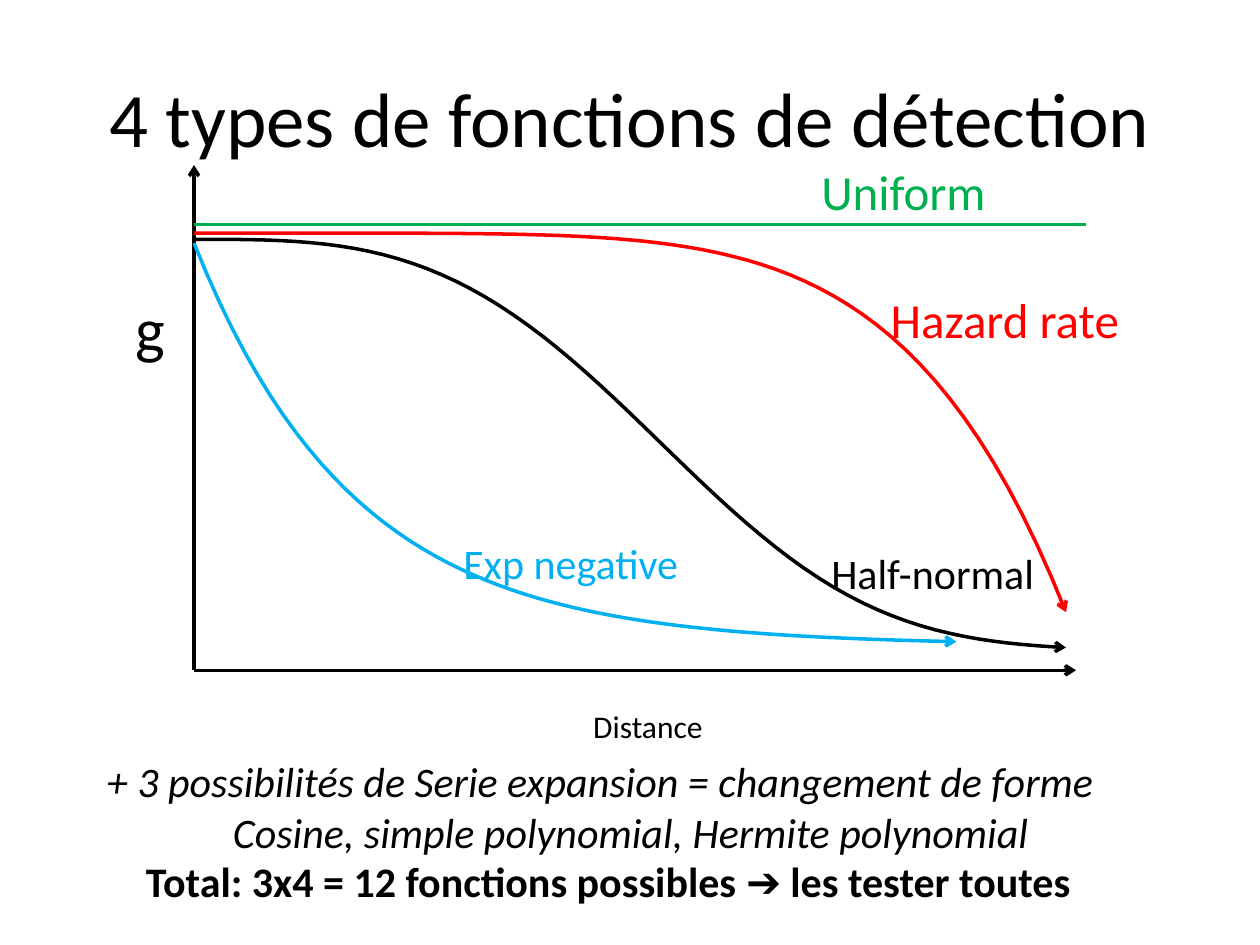
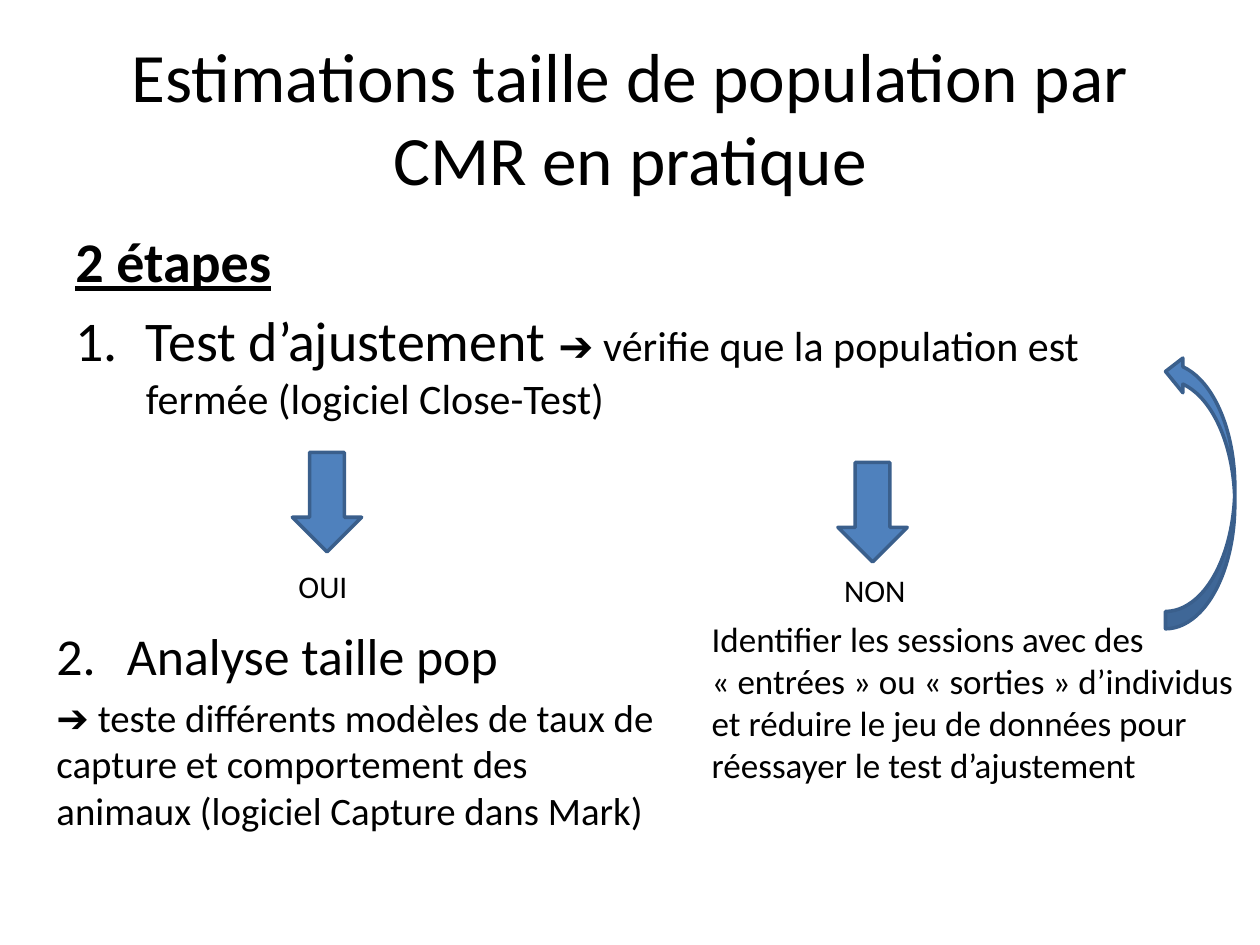
from math import exp

from lxml.etree import SubElement
from pptx import Presentation
from pptx.dml.color import RGBColor
from pptx.enum.shapes import MSO_CONNECTOR, MSO_SHAPE
from pptx.enum.text import MSO_ANCHOR, MSO_AUTO_SIZE, PP_ALIGN
from pptx.oxml.ns import qn
from pptx.util import Inches, Pt

FONT = "Calibri"
LINE_WIDTH = Pt(2)
NUMBER_INDENT = 0.56
NBSP = chr(160)
COLORS = {
    "text": "000000",
    "hazard": "FF0000",
    "exponential": "00B0F0",
    "uniform": "00B050",
    "arrow": "4F81BD",
    "arrow_edge": "3A5F8C",
}

# Detection graph, in inches on the slide
ORIGIN_X, ORIGIN_Y = 1.54, 5.32
AXIS_TOP, AXIS_RIGHT = 1.31, 8.54
UNIFORM_Y, UNIFORM_RIGHT = 1.78, 8.62
CURVE_RIGHT = 8.46
CURVE_STEPS = 60


def half_normal(distance):
    return decay(distance, top=1.9, floor=5.16, scale=4.17, power=3.2)


def exp_negative(distance):
    return decay(distance, top=1.93, floor=5.12, scale=1.27, power=1)


def decay(distance, top, floor, scale, power):
    """Height on the slide of a curve that sinks from top towards floor."""
    return floor - (floor - top) * exp(-((distance / scale) ** power))


def hazard_rate(distance):
    """Long shoulder, then a steep fall that ends at the curves' right edge."""
    top, drop = 1.85, 3.01
    return top + drop * (distance / (CURVE_RIGHT - ORIGIN_X)) ** 5.8


def rgb(name):
    return RGBColor.from_string(COLORS[name])


def format_font(font, size, color="text", **values):
    values.update(name=FONT, size=Pt(size))
    for key, value in values.items():
        setattr(font, key, value)
    font.color.rgb = rgb(color)


def add_title_slide(prs, text, size):
    s = prs.slides.add_slide(prs.slide_layouts[5])
    title = s.shapes.title
    title.left, title.top, title.width, title.height = map(
        Inches, (0.5, 0.3, 9, 1.25))
    tf = title.text_frame
    tf.text = text
    tf.auto_size = MSO_AUTO_SIZE.NONE
    tf.vertical_anchor = MSO_ANCHOR.MIDDLE
    p = tf.paragraphs[0]
    p.alignment = PP_ALIGN.CENTER
    format_font(p.runs[0].font, size)
    return s


def add_box(s, x, y, w, h, wrap=True):
    tf = s.shapes.add_textbox(*map(Inches, (x, y, w, h))).text_frame
    tf.word_wrap = wrap
    tf.auto_size = MSO_AUTO_SIZE.NONE if wrap else MSO_AUTO_SIZE.SHAPE_TO_FIT_TEXT
    return tf


def add_paragraph(tf, *runs, indent=0, number=None, space=0.2):
    """Fill the first paragraph or append one.

    Runs are (text, size, font values); space before is a share of the size.
    """
    first = not tf.paragraphs[0].runs
    p = tf.paragraphs[0] if first else tf.add_paragraph()
    pPr = p._p.get_or_add_pPr()
    if number:
        indent = NUMBER_INDENT
        pPr.set("indent", str(-Inches(indent)))
        SubElement(pPr, qn("a:buFont"), typeface="+mj-lt")
        SubElement(pPr, qn("a:buAutoNum"), type="arabicPeriod", startAt=str(number))
    if indent:
        pPr.set("marL", str(Inches(indent)))
    for text, size, values in runs:
        r = p.add_run()
        r.text = text
        format_font(r.font, size, **values)
    if not first:
        p.space_before = Pt(space * runs[0][1])


def add_label(s, text, x, y, w, h, size, **values):
    tf = add_box(s, x, y, w, h, wrap=False)
    add_paragraph(tf, (text, size, values))
    return tf


def style_line(line, color, arrow):
    line.color.rgb = rgb(color)
    line.width = LINE_WIDTH
    if arrow:
        SubElement(line._get_or_add_ln(), qn("a:tailEnd"), type="arrow")


def add_line(s, start, end, color="text", arrow=True):
    cx = s.shapes.add_connector(
        MSO_CONNECTOR.STRAIGHT, *map(Inches, (*start, *end)))
    style_line(cx.line, color, arrow)
    SubElement(cx._element.spPr, qn("a:effectLst"))


def add_curve(s, height_at, right, color):
    """Draw height_at(distance) from the vertical axis to right."""
    step = (right - ORIGIN_X) / CURVE_STEPS
    distances = [i * step for i in range(CURVE_STEPS + 1)]
    start, *rest = [(Inches(ORIGIN_X + d), Inches(height_at(d))) for d in distances]
    builder = s.shapes.build_freeform(*start)
    builder.add_line_segments(rest, close=False)
    sp = builder.convert_to_shape()
    sp.shadow.inherit = False
    sp.fill.background()
    style_line(sp.line, color, arrow=True)


def add_block_arrow(s, kind, x, y, w, h, rotation=0):
    sp = s.shapes.add_shape(kind, *map(Inches, (x, y, w, h)))
    sp.rotation = rotation
    sp.shadow.inherit = False
    sp.fill.solid()
    sp.fill.fore_color.rgb = rgb("arrow")
    style_line(sp.line, "arrow_edge", arrow=False)


def quoted(word):
    """French quotation marks that never part from the word at a line end."""
    return f"«{NBSP}{word}{NBSP}»"


def add_detection_graph(s):
    origin = (ORIGIN_X, ORIGIN_Y)
    for axis_end in ((ORIGIN_X, AXIS_TOP), (AXIS_RIGHT, ORIGIN_Y)):
        add_line(s, origin, axis_end)
    add_label(s, "g", 0.98, 2.25, 0.44, 0.71, 36)
    add_label(s, "Distance", 4.61, 5.56, 1.08, 0.4, 18)

    curves = [
        (half_normal, CURVE_RIGHT, "text", "Half-normal", (6.5, 4.3, 1.84, 0.5), 24),
        (hazard_rate, CURVE_RIGHT, "hazard", "Hazard rate", (6.97, 2.25, 2.03, 0.57), 28),
        (exp_negative, 7.59, "exponential", "Exp negative", (3.58, 4.22, 1.93, 0.5), 24),
    ]
    for height_at, right, color, name, place, size in curves:
        add_curve(s, height_at, right, color)
        add_label(s, name, *place, size, color=color)

    add_line(s, (ORIGIN_X, UNIFORM_Y), (UNIFORM_RIGHT, UNIFORM_Y), "uniform",
             arrow=False)
    add_label(s, "Uniform", 6.42, 1.23, 1.52, 0.57, 28, color="uniform")


def build_detection_slide(prs):
    s = add_title_slide(prs, "4 types de fonctions de détection", 44)
    add_detection_graph(s)
    tf = add_label(s, "+ 3 possibilités de Serie expansion = changement de forme",
                   0.75, 5.95, 8.12, 0.91, 24, italic=True)
    add_paragraph(tf, ("Cosine, simple polynomial, Hermite polynomial", 24,
                       {"italic": True}), indent=1, space=0)
    add_label(s, "Total: 3x4 = 12 fonctions possibles ➔ les tester toutes",
              1.06, 6.74, 7.7, 0.5, 24, bold=True)


def build_estimation_slide(prs):
    s = add_title_slide(
        prs, "Estimations taille de population par CMR en pratique", 39.6)
    tf = add_box(s, 0.5, 1.75, 9, 1.84)
    add_paragraph(tf, ("2 étapes", 32, {"bold": True, "underline": True}))
    add_paragraph(
        tf,
        ("Test d’ajustement ", 32, {}),
        ("➔ vérifie que la population est fermée (logiciel Close-Test)", 24, {}),
        number=1)

    answers = [
        ("OUI", (2.32, 3.59), (2.27, 4.45, 0.65, 0.4)),
        ("NON", (6.65, 3.67), (6.6, 4.48, 0.69, 0.4)),
    ]
    for answer, arrow_corner, place in answers:
        add_block_arrow(s, MSO_SHAPE.DOWN_ARROW, *arrow_corner, 0.55, 0.79)
        add_label(s, answer, *place, 18)

    tf = add_box(s, 0.35, 4.9, 4.96, 1.84)
    add_paragraph(tf, ("Analyse taille pop", 29.6, {}), number=2)
    add_paragraph(tf, ("➔ teste différents modèles de taux de capture et "
                       "comportement des animaux (logiciel Capture dans Mark)",
                       22.2, {}))
    tf = add_box(s, 5.55, 4.85, 4.45, 1.5)
    add_paragraph(tf, (f"Identifier les sessions avec des {quoted('entrées')} ou "
                       f"{quoted('sorties')} d’individus et réduire le jeu de "
                       "données pour réessayer le test d’ajustement", 20, {}))
    add_block_arrow(s, MSO_SHAPE.CURVED_RIGHT_ARROW, 9.25, 2.81, 0.55, 2.18,
                    rotation=180)


def main():
    prs = Presentation()
    prs.slide_width, prs.slide_height = Inches(10), Inches(7.5)
    build_detection_slide(prs)
    build_estimation_slide(prs)
    prs.save("out.pptx")


if __name__ == "__main__":
    main()
